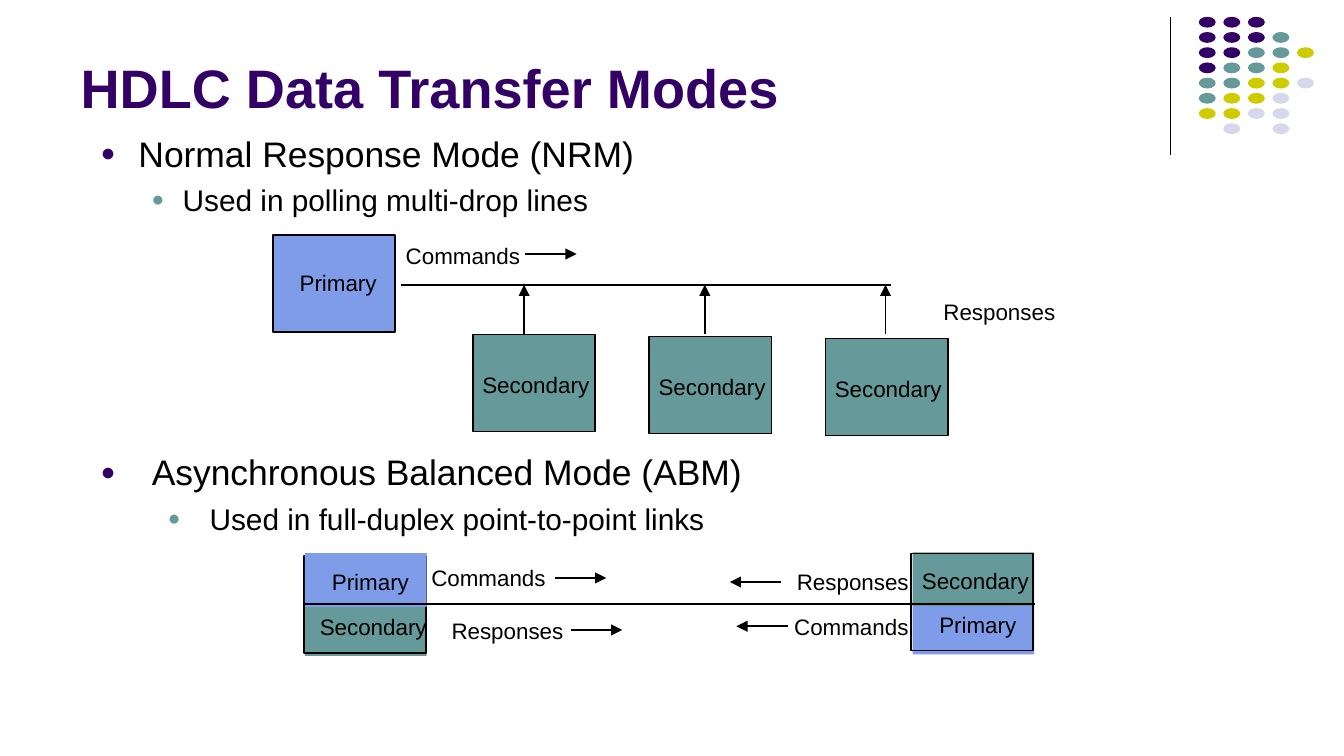
from lxml.etree import SubElement
from pptx import Presentation
from pptx.dml.color import RGBColor
from pptx.enum.dml import MSO_THEME_COLOR
from pptx.enum.shapes import MSO_CONNECTOR as Link, MSO_SHAPE as Preset
from pptx.enum.text import MSO_ANCHOR as Anchor, MSO_AUTO_SIZE as Fit, PP_ALIGN as Align
from pptx.oxml.ns import qn
from pptx.util import Pt

FONT = "Arial"
BLACK = RGBColor(0x00, 0x00, 0x00)
PURPLE = RGBColor(0x33, 0x00, 0x66)
TEAL = RGBColor(0x66, 0x99, 0x99)
BLUE = RGBColor(0x7E, 0x9C, 0xE8)
YELLOW = RGBColor(0xCC, 0xCC, 0x00)
LAVENDER = RGBColor(0xD8, 0xD8, 0xEC)

# Content: lengths in points
TITLE = "HDLC Data Transfer Modes"

# Each mode: box, then (text, size, indent, hanging, space before, bullet colour)
MODES = [
    ((49, 67.7, 549, 64), [
        ("Normal Response Mode (NRM)", 19, 20.2, 20.2, 4.8, PURPLE),
        ("Used in polling multi-drop lines", 16, 43.9, 16.6, 4, TEAL)]),
    ((49, 238.3, 549, 51), [
        ("Asynchronous Balanced Mode (ABM)", 19, 27.4, 27.4, 4.8, PURPLE),
        ("Used in full-duplex point-to-point links", 16, 58.3, 22.3, 4, TEAL)]),
]

# Corner dots, one letter per colour
DOT_COLORS = {"P": PURPLE, "T": TEAL, "Y": YELLOW, "L": LAVENDER}
DOT_ROWS = ["PPP", "PPPT", "PPTTY", "PTTY", "TTYYL", "TYYL", "YYLL", " L L"]
DOT_LEFT, DOT_TOP, DOT_STEP_X, DOT_STEP_Y = 642.2, 9, 13.15, 8.15
DOT_SIZE = (9.1, 5.8)

STATION = (65.5, 52)
HALF = (65.2, 28.8)
LABEL_HEIGHT = 19.4
LABEL_WIDTHS = {"Primary": 51.8, "Secondary": 68.4, "Commands": 72, "Responses": 70.6}
ARROW = 27.4

# NRM: one primary polls three secondaries on a shared line
NRM_PRIMARY = (146.2, 126)
NRM_LINE = (214.6, 152.6, 477.4, 152.6)
NRM_LABELS = [("Primary", 155.5, 141.1), ("Commands", 212.4, 126.7),
              ("Responses", 500.4, 157)]
NRM_COMMAND_ARROW = (281.5, 136.1)
SECONDARY_START, SECONDARY_STEP = (253.4, 179.2), (94.4, 1.1)
SECONDARY_COUNT = 3
SECONDARY_LABEL_DROP = 16.6
RESPONSE_START, RESPONSE_STEP = 280.8, 96.8

# ABM: combined stations, fill None for the outline
ABM_BLOCKS = [
    (488.9, 321.8, BLUE), (488.9, 295.9, TEAL),
    (163.4, 322.6, TEAL), (162.9, 297.8, None),
    (163.4, 296.4, BLUE), (488.1, 296.6, None),
]
ABM_LINE = (162.7, 323.8, 554.4, 323.8)
ABM_LABELS = [
    ("Primary", 172.8, 301.7), ("Secondary", 166.3, 325.4),
    ("Commands", 226.1, 299.5), ("Responses", 236.9, 327.6),
    ("Responses", 421.9, 301.7), ("Commands", 420.5, 325.4),
    ("Secondary", 488.9, 301), ("Primary", 498.2, 324.7),
]
# Arrow start x, y and direction
ABM_ARROWS = [(297.4, 309.6, 1), (306, 337.5, 1), (418.4, 311.8, -1), (421.9, 335.5, -1)]

deck = Presentation()
deck.slide_width, deck.slide_height = Pt(720), Pt(405)
page = deck.slides.add_slide(deck.slide_layouts[5])


def add_span(para, text, size, color=BLACK, bold=False):
    span = para.add_run()
    span.text = text
    span.font.name, span.font.size, span.font.bold = FONT, Pt(size), bold
    span.font.color.rgb = color


def add_box(left, top, width, height, wrap):
    frame = page.shapes.add_textbox(Pt(left), Pt(top), Pt(width), Pt(height)).text_frame
    frame.word_wrap = wrap
    frame.margin_left = frame.margin_right = Pt(5)
    frame.margin_top = frame.margin_bottom = Pt(2.9)
    return frame


def add_label(text, left, top):
    frame = add_box(left, top, LABEL_WIDTHS[text], LABEL_HEIGHT, False)
    frame.auto_size = Fit.SHAPE_TO_FIT_TEXT
    add_span(frame.paragraphs[0], text, 12)


def add_block(preset, left, top, size, fill, outlined):
    shape = page.shapes.add_shape(preset, Pt(left), Pt(top), Pt(size[0]), Pt(size[1]))
    shape.shadow.inherit = False
    if fill is None:
        shape.fill.background()
    else:
        shape.fill.solid()
        shape.fill.fore_color.rgb = fill
    if outlined:
        shape.line.color.rgb = BLACK
        shape.line.width = Pt(1)
    else:
        shape.line.fill.background()


def add_line(x1, y1, x2, y2, arrow=False, width=1):
    line = page.shapes.add_connector(Link.STRAIGHT, Pt(x1), Pt(y1), Pt(x2), Pt(y2))
    line.line.color.rgb = BLACK
    line.line.width = Pt(width)
    if arrow:
        SubElement(line.line._get_or_add_ln(), qn("a:tailEnd"), type="triangle")
    SubElement(line._element.spPr, qn("a:effectLst"))


def set_bullet(para, indent, hanging, color):
    props = para._p.get_or_add_pPr()
    props.set("marL", str(Pt(indent)))
    props.set("indent", str(-Pt(hanging)))
    SubElement(SubElement(props, qn("a:buClr")), qn("a:srgbClr"), val=str(color))
    SubElement(props, qn("a:buSzPct"), val="70000")
    SubElement(props, qn("a:buFont"), typeface=FONT)
    SubElement(props, qn("a:buChar"), char="●")


# Corner decoration
add_line(627.1, 9.2, 627.1, 83, width=0.75)
for row, letters in enumerate(DOT_ROWS):
    for column, letter in enumerate(letters):
        if letter in DOT_COLORS:
            add_block(Preset.OVAL, DOT_LEFT + column * DOT_STEP_X,
                      DOT_TOP + row * DOT_STEP_Y, DOT_SIZE, DOT_COLORS[letter], False)

# Title
title = page.shapes.title
title.left, title.top, title.width, title.height = Pt(36), Pt(7.2), Pt(594), Pt(60.5)
title.text_frame.vertical_anchor = Anchor.BOTTOM
title.text_frame.auto_size = Fit.NONE
title_para = title.text_frame.paragraphs[0]
title_para.alignment = Align.LEFT
add_span(title_para, TITLE, 29, PURPLE, True)

# Bulleted modes
for place, lines in MODES:
    frame = add_box(*place, True)
    for number, (text, size, indent, hanging, before, color) in enumerate(lines):
        para = frame.add_paragraph() if number else frame.paragraphs[0]
        para.level = number
        para.space_before = Pt(before)
        set_bullet(para, indent, hanging, color)
        add_span(para, text, size)

# NRM diagram
add_block(Preset.RECTANGLE, *NRM_PRIMARY, STATION, BLUE, True)
add_line(*NRM_LINE)
x, y = NRM_COMMAND_ARROW
add_line(x, y, x + ARROW, y, True)
for label in NRM_LABELS:
    add_label(*label)
for number in range(SECONDARY_COUNT):
    left, top = (start + number * step
                 for start, step in zip(SECONDARY_START, SECONDARY_STEP))
    add_block(Preset.RECTANGLE, left, top, STATION, TEAL, True)
    add_label("Secondary", left, top + SECONDARY_LABEL_DROP)
    x = RESPONSE_START + number * RESPONSE_STEP
    add_line(x, SECONDARY_START[1], x, NRM_LINE[1], True)

# ABM diagram
for left, top, fill in ABM_BLOCKS:
    add_block(Preset.RECTANGLE, left, top, HALF if fill else STATION, fill, fill is None)
add_line(*ABM_LINE)
for label in ABM_LABELS:
    add_label(*label)
for x, y, direction in ABM_ARROWS:
    add_line(x, y, x + direction * ARROW, y, True)

deck.save("out.pptx")
